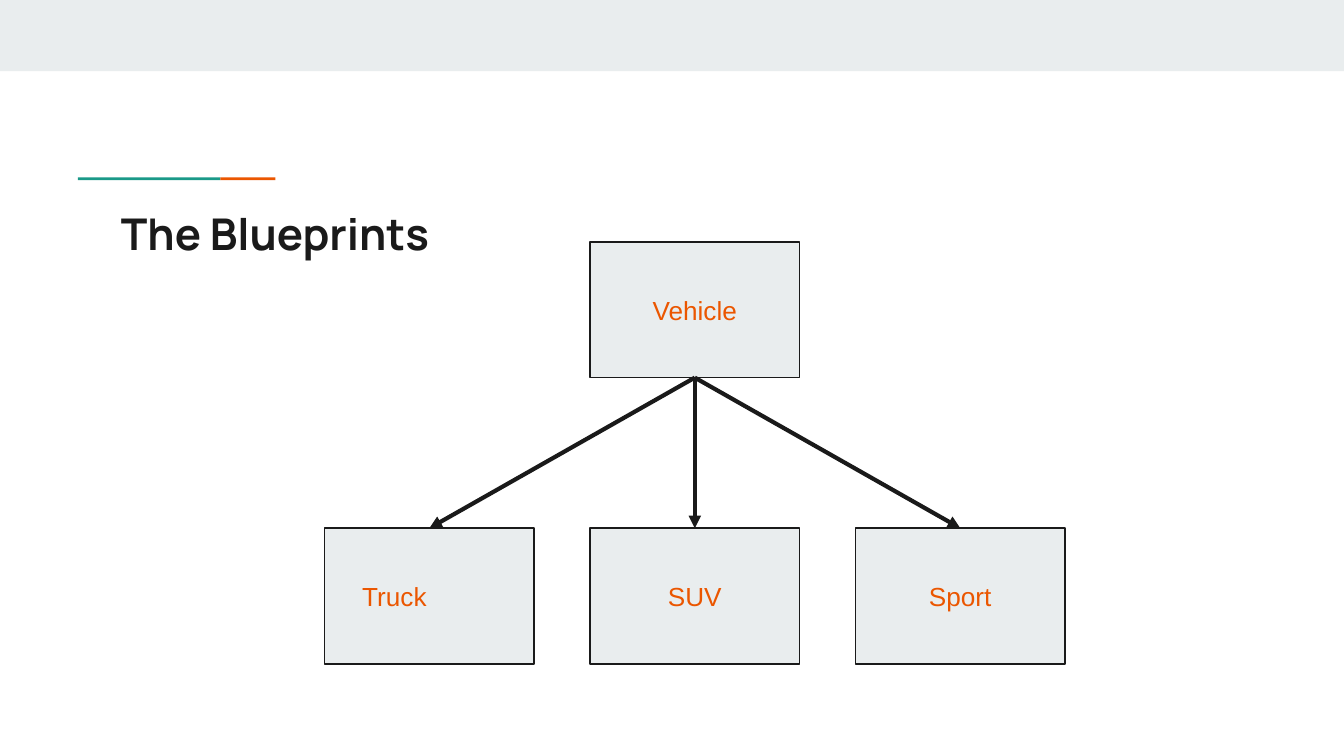
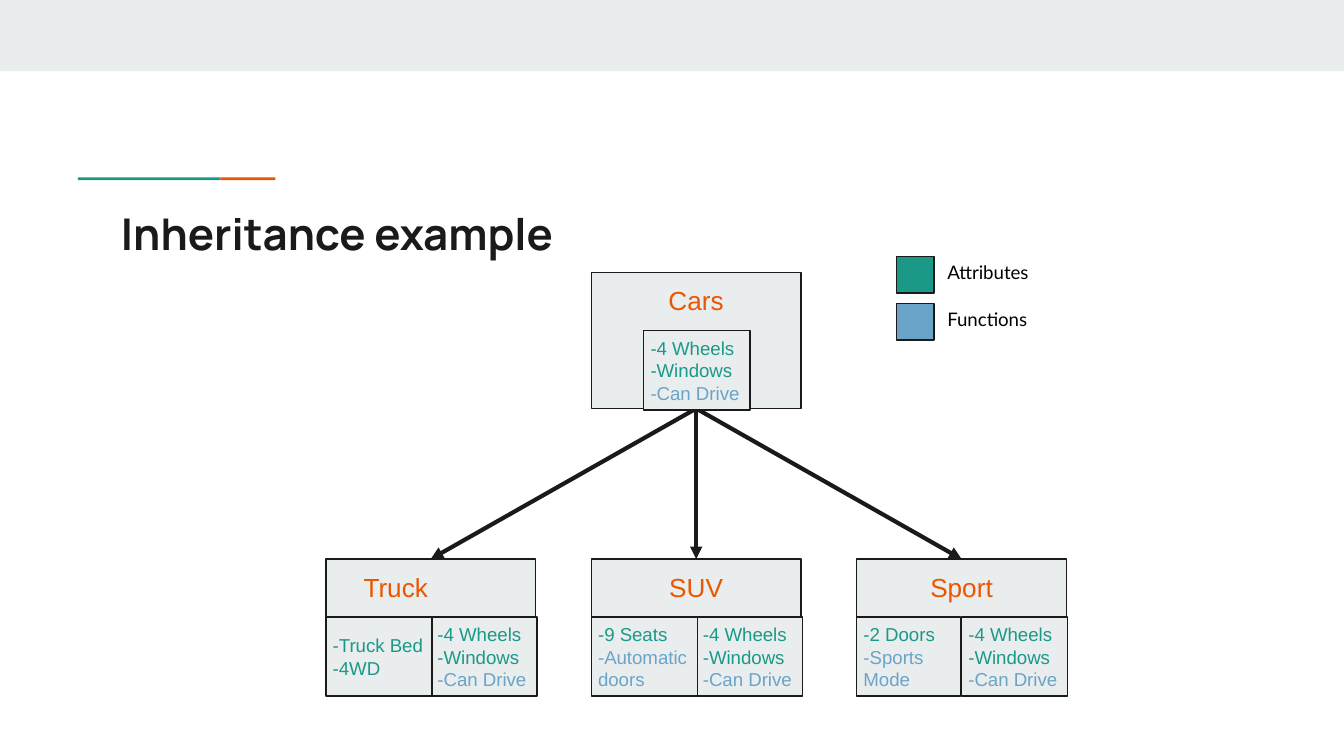
"""Build two slides that explain class inheritance with vehicle trees."""
import pptx
import pptx.dml.color
import pptx.enum.shapes
import pptx.enum.text
import pptx.oxml
import pptx.oxml.ns
import pptx.util
from pptx.util import Inches

RGBColor = pptx.dml.color.RGBColor
INK = RGBColor(0x1A, 0x1A, 0x1A)
BLACK = RGBColor(0x00, 0x00, 0x00)
PALE = RGBColor(0xE9, 0xED, 0xEE)
ORANGE = RGBColor(0xEB, 0x56, 0x00)
TEAL = RGBColor(0x1A, 0x99, 0x88)
BLUE = RGBColor(0x6A, 0xA4, 0xC8)

ALIGN = pptx.enum.text.PP_ALIGN
ANCHOR = pptx.enum.text.MSO_ANCHOR
AUTO_SIZE = pptx.enum.text.MSO_AUTO_SIZE

CLASS_WIDTH, CLASS_HEIGHT = 1.56, 1.01
CLASS_PITCH, LEVEL_DROP = 3.95 / 2, 2.13
MEMBER_TOP, MEMBER_WIDTH, MEMBER_HEIGHT = 0.43, 0.79, 0.59
INHERITED_LEFT = CLASS_WIDTH / 2
BOTTOM_SITE, TOP_SITE = 2, 0

INHERITED = [("-4 Wheels", TEAL), ("-Windows", TEAL), ("-Can Drive", BLUE)]
OWN_MEMBERS = [
    ([("-Truck Bed", TEAL), ("-4WD", TEAL)], MEMBER_WIDTH),
    ([("-9 Seats", TEAL), ("-Automatic doors", BLUE)], MEMBER_WIDTH),
    ([("-2 Doors", TEAL), ("-Sports Mode", BLUE)], 0.77),
]
SUBCLASSES = ["Truck\t", "SUV", "Sport"]


def add_rect(slide, left, top, width, height, fill, outlined=True):
    """Add a flat rectangle, with a thin dark outline if wanted."""
    rect = slide.shapes.add_shape(
        pptx.enum.shapes.MSO_SHAPE.RECTANGLE,
        Inches(left), Inches(top), Inches(width), Inches(height))
    rect.shadow.inherit = False
    rect.fill.solid()
    rect.fill.fore_color.rgb = fill
    if outlined:
        rect.line.color.rgb = INK
        rect.line.width = pptx.util.Pt(0.75)
    else:
        rect.line.fill.background()
    return rect


def write_text(shape, lines, size, font, align=ALIGN.LEFT, anchor=ANCHOR.TOP,
               insets=(0.1, 0.1, 0.1, 0.1), bold=False):
    """Write (text, colour) lines; insets run left, top, right, bottom."""
    frame = shape.text_frame
    frame.word_wrap = True
    frame.vertical_anchor = anchor
    (frame.margin_left, frame.margin_top,
     frame.margin_right, frame.margin_bottom) = map(Inches, insets)
    frame.text = "\n".join(text for text, _ in lines)
    for paragraph, (_, color) in zip(frame.paragraphs, lines):
        paragraph.alignment = align
        paragraph._p.get_or_add_pPr().set("defTabSz", str(Inches(1)))
        for run in paragraph.runs:
            run.font.size = pptx.util.Pt(size)
            run.font.name = font
            run.font.bold = bold
            run.font.color.rgb = color


def start_slide(deck, heading):
    """Add a title-only slide with the top band, accent line and title."""
    slide = deck.slides.add_slide(deck.slide_layouts[5])
    add_rect(slide, 0, 0, 10, 0.53, PALE, outlined=False)
    add_rect(slide, 0.58, 1.32, 1.06, 0.02, TEAL, outlined=False)
    add_rect(slide, 1.64, 1.32, 0.41, 0.02, ORANGE, outlined=False)
    title = slide.shapes.title
    title.left, title.top = Inches(0.8), Inches(1.44)
    title.width, title.height = Inches(8.41), Inches(0.59)
    write_text(title, [(heading, INK)], 23.4, "Manrope", bold=True)
    title.text_frame.auto_size = AUTO_SIZE.NONE
    return slide


def add_class(slide, name, left, top, insets):
    """Add the box of one class and return it."""
    box = add_rect(slide, left, top, CLASS_WIDTH, CLASS_HEIGHT, PALE)
    write_text(box, [(name, ORANGE)], 14, "Arial", ALIGN.CENTER,
               ANCHOR.MIDDLE, insets)
    return box


def add_arrow(slide, parent, child):
    """Connect the bottom of the parent to the top of the child."""
    arrow = slide.shapes.add_connector(
        pptx.enum.shapes.MSO_CONNECTOR.STRAIGHT, 0, 0, 0, 0)
    arrow.begin_connect(parent, BOTTOM_SITE)
    arrow.end_connect(child, TOP_SITE)
    arrow.line.color.rgb = INK
    arrow.line.width = pptx.util.Pt(2.25)
    tip = pptx.oxml.parse_xml(
        f'<a:tailEnd {pptx.oxml.ns.nsdecls("a")} type="triangle"/>')
    arrow.line._get_or_add_ln().append(tip)
    effects = pptx.oxml.parse_xml(
        f'<a:effectLst {pptx.oxml.ns.nsdecls("a")}/>')
    arrow._element.spPr.append(effects)


def add_tree(slide, root_name, left, top, root_bottom=0.1, leaf_bottom=0.1,
             root_top=0.1):
    """Add a root class with its subclasses and return the subclass lefts."""
    root = add_class(slide, root_name, left, top,
                     (0.1, root_top, 0.1, root_bottom))
    lefts = [left + step * CLASS_PITCH for step in (-1, 0, 1)]
    leaves = [add_class(slide, name, x, top + LEVEL_DROP,
                        (0.1, 0.1, 0.1, leaf_bottom))
              for name, x in zip(SUBCLASSES, lefts)]
    for leaf in leaves:
        add_arrow(slide, root, leaf)
    return lefts


def add_members(slide, members, left, class_top, width=MEMBER_WIDTH):
    """Add the member list in the lower part of a class box."""
    box = add_rect(slide, left, class_top + MEMBER_TOP, width,
                   MEMBER_HEIGHT, PALE)
    write_text(box, members, 10, "Arial", anchor=ANCHOR.MIDDLE,
               insets=(0.05, 0.1, 0, 0.1))


def add_legend_entry(slide, label, color, top):
    """Add a colour swatch and its label."""
    add_rect(slide, 6.67, top, 0.28, 0.27, color)
    caption = slide.shapes.add_textbox(
        Inches(6.95), Inches(top - 0.05), Inches(0.99), Inches(0.37))
    write_text(caption, [(label, BLACK)], 10, "Lato")
    caption.text_frame.auto_size = AUTO_SIZE.SHAPE_TO_FIT_TEXT


def add_blueprints_slide(deck):
    """Show the plain class tree."""
    slide = start_slide(deck, "The Blueprints")
    add_tree(slide, "Vehicle", 4.39, 1.8)


def add_inheritance_slide(deck):
    """Show the class tree with own and inherited members."""
    slide = start_slide(deck, "Inheritance example")
    root_left, root_top = 4.4, 2.03
    leaf_top = root_top + LEVEL_DROP
    lefts = add_tree(slide, "Cars", root_left, root_top,
                     root_bottom=0.6, leaf_bottom=0.7, root_top=0)
    add_members(slide, INHERITED, root_left + 0.39, root_top)
    add_legend_entry(slide, "Attributes", TEAL, 1.91)
    add_legend_entry(slide, "Functions", BLUE, 2.26)
    for left in lefts:
        add_members(slide, INHERITED, left + INHERITED_LEFT, leaf_top)
    for left, (own, width) in zip(lefts, OWN_MEMBERS):
        add_members(slide, own, left, leaf_top, width)


def main():
    """Build and save the deck."""
    deck = pptx.Presentation()
    deck.slide_width = Inches(10)
    deck.slide_height = deck.slide_width * 9 // 16
    add_blueprints_slide(deck)
    add_inheritance_slide(deck)
    deck.save("out.pptx")


if __name__ == "__main__":
    main()
